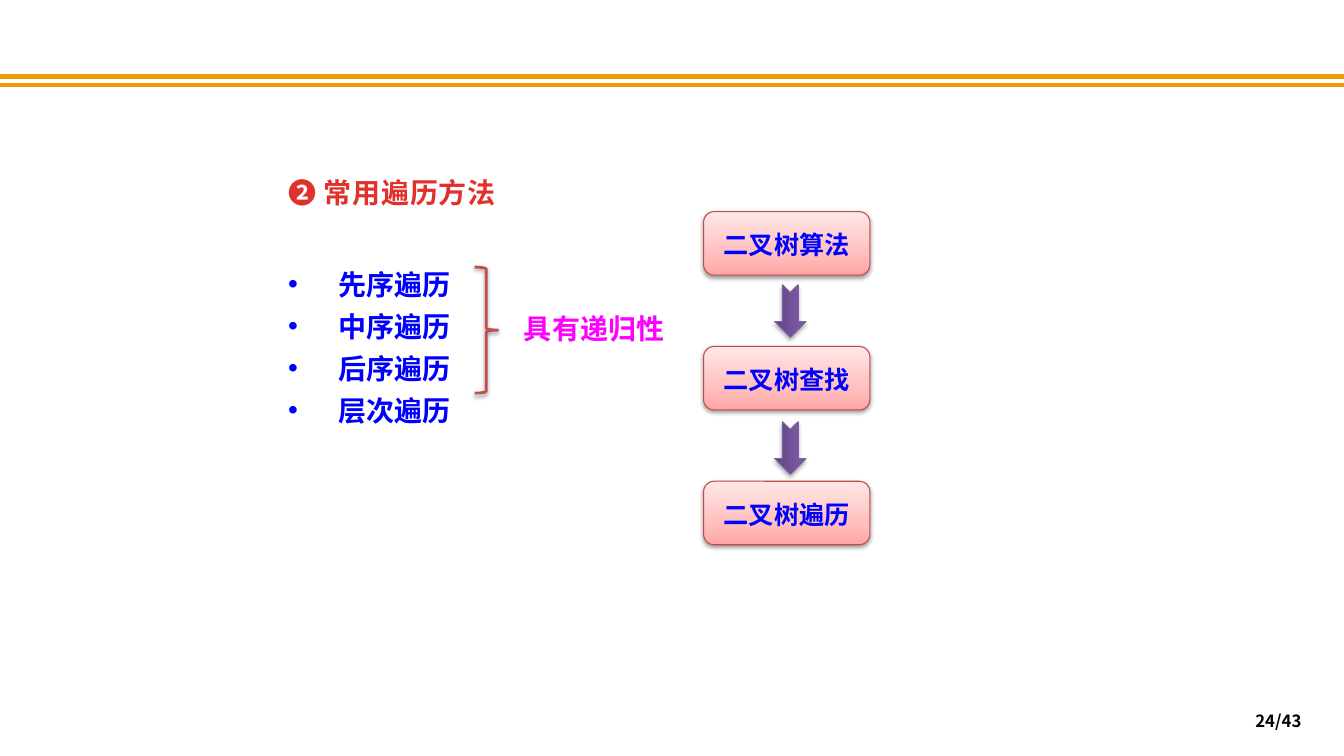
from pptx import Presentation
from pptx.dml.color import RGBColor
from pptx.enum.shapes import MSO_CONNECTOR, MSO_SHAPE
from pptx.enum.text import MSO_ANCHOR, PP_ALIGN
from pptx.oxml import parse_xml
from pptx.oxml.ns import nsdecls, qn
from pptx.util import Pt
from lxml.etree import SubElement

# Content
HEADING = "❷ 常用遍历方法"
METHODS = ["先序遍历", "中序遍历", "后序遍历", "层次遍历"]
BRACE_LABEL = "具有递归性"
STEPS = ["二叉树算法", "二叉树查找", "二叉树遍历"]
PAGE = "24/43"

FONT = "Noto Sans CJK SC"
COLORS = {"rule": "F19903", "heading": "E0322D", "blue": "0000FF",
          "label": "FF00FF", "brace": "C0504D", "box_line": "BF4C48",
          "arrow_line": "7D60A0", "page": "000000", "shadow": "000000"}
GRADIENTS = {"box": [(0, "FFA6A5"), (35, "FFC0BF"), (100, "FFE7E7")],
             "arrow": [(0, "5F4480"), (80, "7B58A6"), (100, "7C57A8")]}

# Layout in points
SLIDE_W, SLIDE_H = 960, 540
RULES_Y = [54.72, 60.48]
LEFT = 198.72
BOX = (502.56, 151.2, 118.8, 45.36)
BOX_STEP = 96.3
ARROW = (545.76, 210.96, 37.44, 22.32)
ARROW_STEP = 97.9
INDENT = 36

prs = Presentation()
prs.slide_width, prs.slide_height = Pt(SLIDE_W), Pt(SLIDE_H)
s = prs.slides.add_slide(prs.slide_layouts[6])


def write(tf, lines, color, size=20, bullet=False, spacing=None, spc=None,
          **para):
    tf.word_wrap = True
    for i, line in enumerate(lines):
        p = tf.add_paragraph() if i else tf.paragraphs[0]
        if bullet:
            pPr = p._p.get_or_add_pPr()
            pPr.set("marL", str(Pt(INDENT)))
            pPr.set("indent", str(-Pt(INDENT)))
            SubElement(pPr, qn("a:buFont")).set("typeface", "Arial")
            SubElement(pPr, qn("a:buChar")).set("char", "•")
        for name, value in {"line_spacing": spacing, **para}.items():
            setattr(p, name, value)
        r = p.add_run()
        r.text = line
        for name, value in {"name": FONT, "size": Pt(size), "bold": True}.items():
            setattr(r.font, name, value)
        r.font.color.rgb = RGBColor.from_string(COLORS[color])
        rPr = r._r.get_or_add_rPr()
        SubElement(rPr, qn("a:ea")).set("typeface", FONT)
        if spc:
            rPr.set("spc", str(spc))


def add_text(box, lines, color, anchor=MSO_ANCHOR.TOP, **fmt):
    tf = s.shapes.add_textbox(*map(Pt, box)).text_frame
    tf.vertical_anchor = anchor
    write(tf, lines, color, **fmt)


def add_shape(kind, box, line, width, gradient=None, alpha=38, dist=1.6):
    sp = s.shapes.add_shape(kind, *map(Pt, box))
    sp.line.color.rgb = RGBColor.from_string(COLORS[line])
    sp.line.width = Pt(width)
    spPr = sp._element.spPr
    if gradient:
        stops = "".join(
            f'<a:gs pos="{pos * 1000}"><a:srgbClr val="{c}"/></a:gs>'
            for pos, c in GRADIENTS[gradient])
        spPr.find(qn("a:prstGeom")).addnext(parse_xml(
            f'<a:gradFill {nsdecls("a")} rotWithShape="1"><a:gsLst>{stops}'
            '</a:gsLst><a:lin ang="16200000" scaled="0"/></a:gradFill>'))
    else:
        sp.fill.background()
    sp.shadow.inherit = False
    spPr.find(qn("a:effectLst")).append(parse_xml(
        f'<a:outerShdw {nsdecls("a")} blurRad="{Pt(3.1)}" dist="{Pt(dist)}" '
        f'dir="5400000" rotWithShape="0"><a:srgbClr val="{COLORS["shadow"]}">'
        f'<a:alpha val="{alpha * 1000}"/></a:srgbClr></a:outerShdw>'))
    return sp


# Double rule under the title band
for y in RULES_Y:
    rule = s.shapes.add_connector(MSO_CONNECTOR.STRAIGHT, 0, Pt(y),
                                  Pt(SLIDE_W), Pt(y))
    rule.line.color.rgb = RGBColor.from_string(COLORS["rule"])
    rule.line.width = Pt(3)
    SubElement(rule._element.spPr, qn("a:effectLst"))

# Heading, traversal methods, brace and its label
add_text((LEFT, 181.44, 168.48, 128.16), METHODS, "blue", bullet=True,
         spacing=Pt(30))
add_text((LEFT, 115.92, 225.36, 37.44), [HEADING], "heading",
         spacing=Pt(30), spc=50)
add_shape(MSO_SHAPE.RIGHT_BRACE, (339.12, 190.8, 16.56, 90), "brace", 2)
add_text((367.2, 213.12, 135.36, 37.44), [BRACE_LABEL], "label",
         spacing=Pt(30))

# Chain of steps with arrows between them
for i, step in enumerate(STEPS):
    x, y, w, h = BOX
    sp = add_shape(MSO_SHAPE.ROUNDED_RECTANGLE, (x, y + i * BOX_STEP, w, h),
                   "box_line", 0.75, "box")
    sp.text_frame.vertical_anchor = MSO_ANCHOR.MIDDLE
    write(sp.text_frame, [step], "blue", size=18, spacing=1.1,
          alignment=PP_ALIGN.CENTER)
    if i < len(STEPS) - 1:
        x, y, w, h = ARROW
        sp = add_shape(MSO_SHAPE.NOTCHED_RIGHT_ARROW,
                       (x, y + i * ARROW_STEP, w, h), "arrow_line", 0.75,
                       "arrow", alpha=35, dist=1.8)
        sp.rotation = 90

# Page number
add_text((712.8, 500.4, 223.92, 28.8), [PAGE], "page", MSO_ANCHOR.MIDDLE,
         size=12, alignment=PP_ALIGN.RIGHT)

prs.save("out.pptx")
